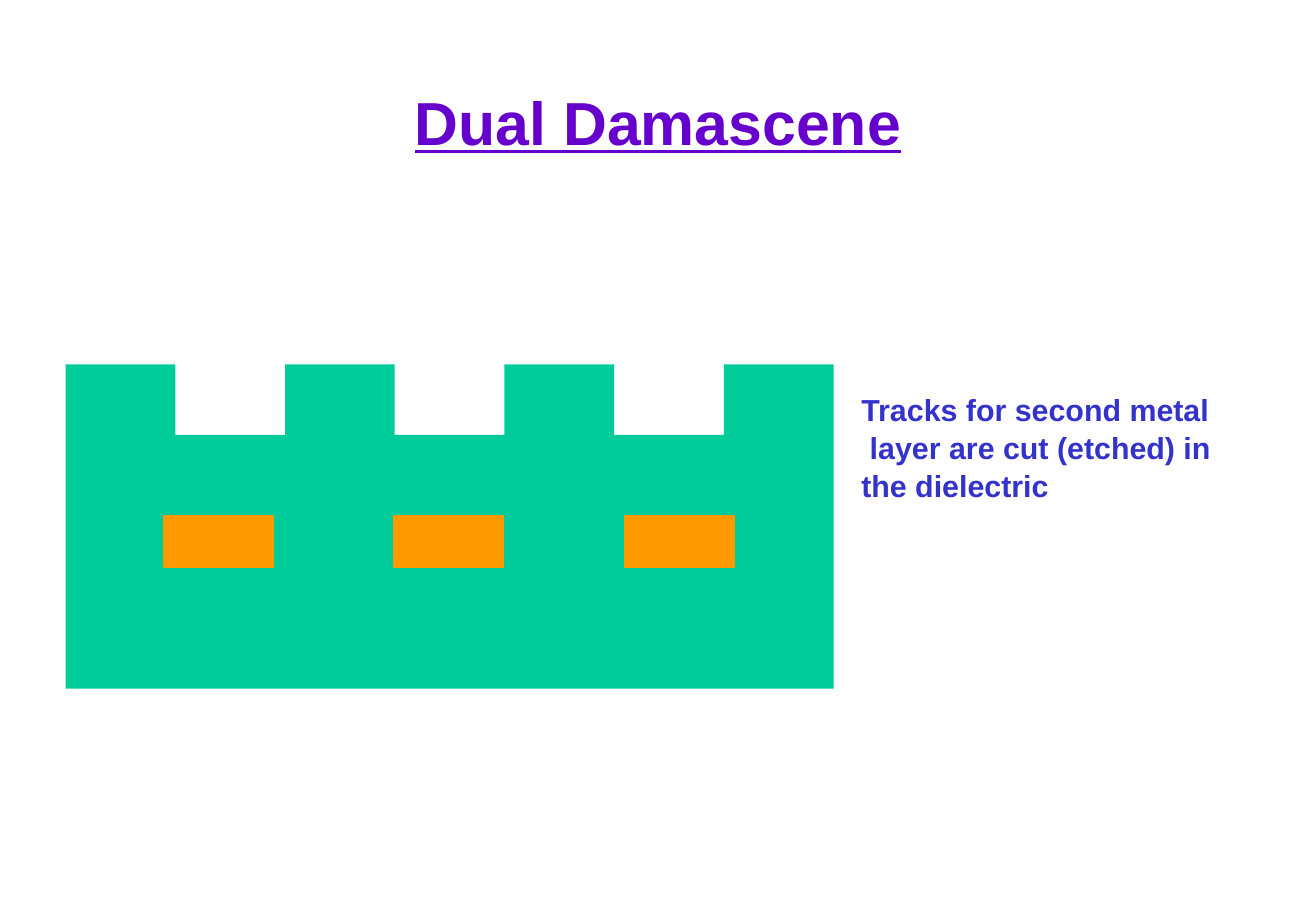
"""Build the Dual Damascene slide showing tracks etched in a dielectric."""
from dataclasses import dataclass

from pptx import Presentation
from pptx.dml.color import RGBColor
from pptx.enum.shapes import MSO_SHAPE
from pptx.enum.text import MSO_ANCHOR, PP_ALIGN
from pptx.util import Inches, Pt

RECTANGLE = MSO_SHAPE.RECTANGLE
MIDDLE = MSO_ANCHOR.MIDDLE
CENTER, LEFT = PP_ALIGN.CENTER, PP_ALIGN.LEFT

COLORS = {
    "title": "6600CC",
    "dielectric": "00CC99",
    "metal": "FF9900",
    "caption": "3333CC",
}
FONT = "Arial"
CAPTION_LINES = ["Tracks for second metal", " layer are cut (etched) in", "the dielectric"]


@dataclass(frozen=True)
class Box:
    """A rectangle measured in inches."""

    left: float
    top: float
    width: float
    height: float

    def lengths(self):
        """Return left, top, width and height as lengths."""
        return tuple(map(Inches, (self.left, self.top, self.width, self.height)))


TITLE_BOX = Box(0.45, 0.37, 9.93, 1.25)
CAPTION_BOX = Box(6.99, 3.16, 3.14, 1)
DIELECTRIC = Box(0.54, 3, 6.32, 2.67)
TRACK_COUNT = 3
TRACK_DEPTH = 0.58
METAL_PITCH = 1.895
METAL_BOXES = [Box(1.35 + METAL_PITCH * i, 4.25, 0.9, 0.42) for i in range(TRACK_COUNT)]


def color(name: str) -> RGBColor:
    """Look up a named colour."""
    return RGBColor.from_string(COLORS[name])


def add_run(paragraph, text: str, size: float, color_name: str, underline: bool = False) -> None:
    """Add one bold run to a paragraph."""
    run = paragraph.add_run()
    run.text = text
    run.font.name = FONT
    run.font.size = Pt(size)
    run.font.bold = True
    run.font.underline = underline
    run.font.color.rgb = color(color_name)


def add_title(slide, text: str) -> None:
    """Place and fill the title placeholder."""
    title = slide.shapes.title
    title.left, title.top, title.width, title.height = TITLE_BOX.lengths()
    title.text_frame.vertical_anchor = MIDDLE
    paragraph = title.text_frame.paragraphs[0]
    paragraph.alignment = CENTER
    add_run(paragraph, text, 36, "title", underline=True)


def add_dielectric(slide, box: Box) -> None:
    """Draw the dielectric with evenly spaced tracks cut from its top."""
    step = box.width / (2 * TRACK_COUNT + 1)
    bottom = box.top + box.height
    points = [(box.left, bottom)]
    for index in range(2 * TRACK_COUNT + 1):
        level = box.top + TRACK_DEPTH * (index % 2)
        points += [(box.left + step * (index + side), level) for side in (0, 1)]
    points.append((box.left + box.width, bottom))
    corners = [(Inches(x), Inches(y)) for x, y in points]
    builder = slide.shapes.build_freeform(*corners[0])
    builder.add_line_segments(corners[1:], close=True)
    shape = builder.convert_to_shape()
    shape.shadow.inherit = False
    shape.fill.solid()
    shape.fill.fore_color.rgb = color("dielectric")
    shape.line.fill.background()


def add_metal(slide, box: Box) -> None:
    """Draw one metal line of the first layer."""
    shape = slide.shapes.add_shape(RECTANGLE, *box.lengths())
    shape.shadow.inherit = False
    shape.fill.solid()
    shape.fill.fore_color.rgb = color("metal")
    shape.line.color.rgb = color("metal")
    shape.line.width = Pt(1)


def add_caption(slide, lines: list[str]) -> None:
    """Write the caption, one paragraph a line."""
    frame = slide.shapes.add_textbox(*CAPTION_BOX.lengths()).text_frame
    frame.word_wrap = False
    for index, line in enumerate(lines):
        paragraph = frame.add_paragraph() if index else frame.paragraphs[0]
        paragraph.alignment = LEFT
        paragraph.line_spacing = 1.04
        add_run(paragraph, line, 18, "caption")


def main() -> None:
    """Build and save the presentation."""
    presentation = Presentation()
    presentation.slide_width = Inches(10.83)
    presentation.slide_height = Inches(7.5)
    slide = presentation.slides.add_slide(presentation.slide_layouts[5])
    add_title(slide, "Dual Damascene")
    add_dielectric(slide, DIELECTRIC)
    for box in METAL_BOXES:
        add_metal(slide, box)
    add_caption(slide, CAPTION_LINES)
    presentation.save("out.pptx")


if __name__ == "__main__":
    main()
